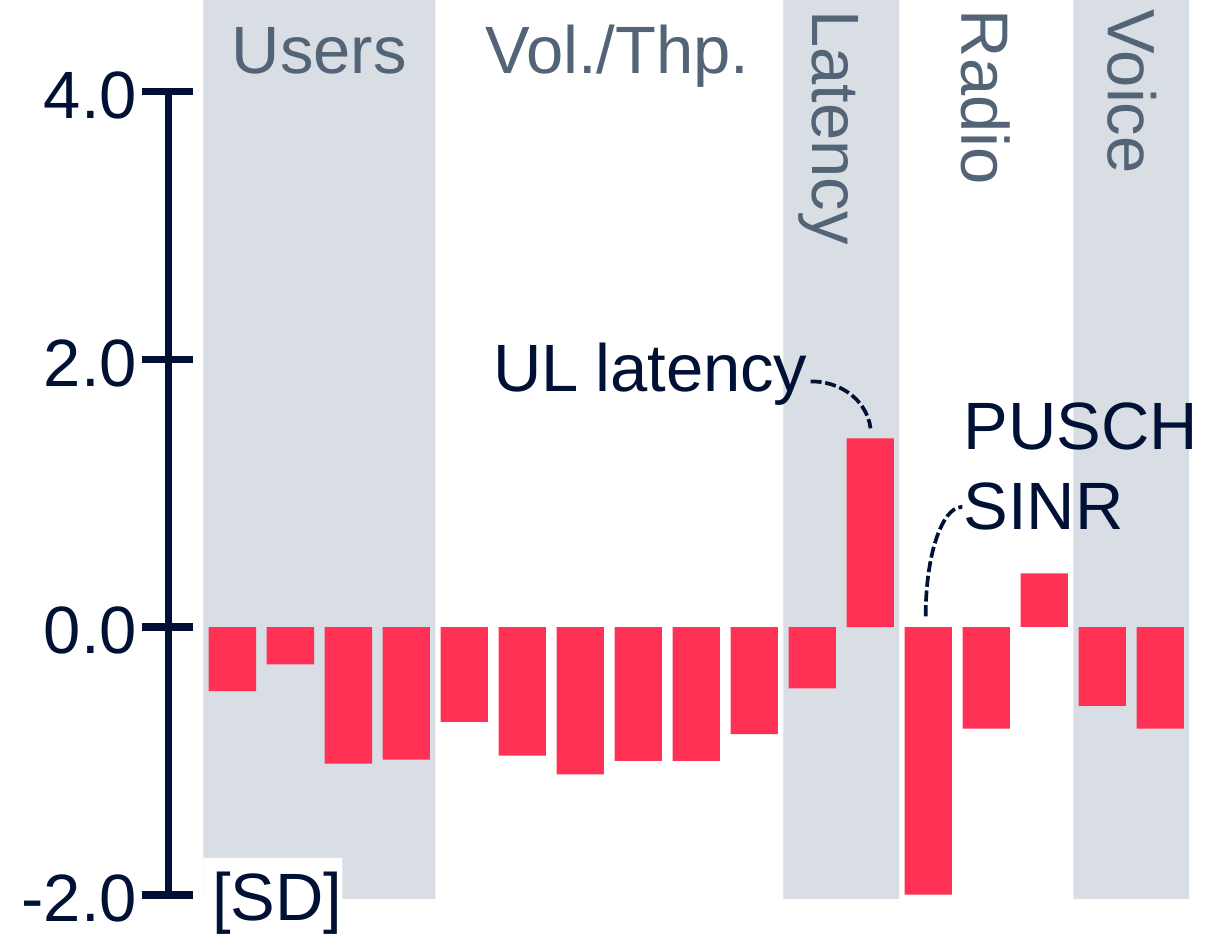
from pptx import Presentation
from pptx.dml.color import RGBColor
from pptx.enum.dml import MSO_LINE
from pptx.enum.shapes import MSO_CONNECTOR, MSO_SHAPE
from pptx.enum.text import MSO_ANCHOR, PP_ALIGN
from pptx.oxml import parse_xml
from pptx.oxml.ns import nsdecls
from pptx.util import Cm, Pt

COLORS = {"band": "D8DEE4", "heading": "526476", "ink": "001135",
          "bar": "FF3154", "white": "FFFFFF"}

# Scales, in centimetres
CM_PER_INCH = 2.54
ZERO_Y = 5.95
UNIT = 1.27
BANDS_LEFT = 1.93
PITCH = 0.55
BAR_WIDTH = 0.45
AXIS_X = 1.6
LABEL_HEIGHT = 0.69

presentation = Presentation()
presentation.slide_width = Cm(4.6 * CM_PER_INCH)
presentation.slide_height = Cm(3.5 * CM_PER_INCH)
slide = presentation.slides.add_slide(presentation.slide_layouts[6])
shapes = slide.shapes


def add_rectangle(left, top, width, height, color):
    shape = shapes.add_shape(MSO_SHAPE.RECTANGLE, Cm(left), Cm(top), Cm(width), Cm(height))
    shape.shadow.inherit = False
    shape.fill.solid()
    shape.fill.fore_color.rgb = RGBColor.from_string(COLORS[color])
    shape.line.fill.background()
    return shape


def add_label(text, left, top, width, height=LABEL_HEIGHT, align=PP_ALIGN.LEFT,
              color="ink", filled=False):
    if filled:
        label = add_rectangle(left, top, width, height, "white")
    else:
        label = shapes.add_textbox(Cm(left), Cm(top), Cm(width), Cm(height))
    frame = label.text_frame
    frame.margin_left = frame.margin_right = frame.margin_top = frame.margin_bottom = 0
    frame.word_wrap = False
    frame.vertical_anchor = MSO_ANCHOR.MIDDLE
    paragraph = frame.paragraphs[0]
    paragraph.text = text
    paragraph.alignment = align
    paragraph.space_after = Pt(3)
    for run in paragraph.runs:
        run.font.name = "Arial"
        run.font.size = Pt(18)
        run.font.color.rgb = RGBColor.from_string(COLORS[color])
    return label


# Shaded bands: first bar, number of bars
for first, count in [(15, 2), (0, 4), (10, 2)]:
    add_rectangle(BANDS_LEFT + first * PITCH, 0, count * PITCH, 8.53, "band")

# Group headings
for text, left, width in [("Users", 1.91, 2.24), ("Vol./Thp.", 4.52, 2.67)]:
    add_label(text, left, 0.1, width, align=PP_ALIGN.CENTER, color="heading")
for text, left, top, width in [("Radio", 8.53, 0.59, 1.68),
                               ("Voice", 9.92, 0.59, 1.68),
                               ("Latency", 6.8, 0.91, 2.31)]:
    add_label(text, left, top, width, color="heading").rotation = 90

# Axis and ticks
ticks = [(value, ZERO_Y - value * UNIT) for value in (4, 2, 0, -2)]
axis_lines = [(AXIS_X, ticks[0][1], AXIS_X, ticks[-1][1])]
axis_lines += [(1.83, y, 1.35, y) for value, y in ticks]
for x1, y1, x2, y2 in axis_lines:
    line = shapes.add_connector(MSO_CONNECTOR.STRAIGHT, Cm(x1), Cm(y1), Cm(x2), Cm(y2))
    line.line.color.rgb = RGBColor.from_string(COLORS["ink"])
    line.line.width = Pt(2)
    line._element.spPr.append(parse_xml(f"<a:effectLst {nsdecls('a')}/>"))

# Axis labels
for value, y in ticks:
    add_label(f"{value:.1f}", 0.23, y - LABEL_HEIGHT / 2, 1.07,
              align=PP_ALIGN.RIGHT, filled=True)

# Bars, in standard deviations
values = [-0.48, -0.28, -1.02, -0.99,
          -0.71, -0.96, -1.1, -1.0, -1.0, -0.8,
          -0.46, 1.41,
          -2.0, -0.76, 0.4,
          -0.59, -0.76]
for index, value in enumerate(values):
    left = BANDS_LEFT + index * PITCH + (PITCH - BAR_WIDTH) / 2
    add_rectangle(left, ZERO_Y - max(value, 0) * UNIT, BAR_WIDTH, abs(value) * UNIT, "bar")

# Callouts with dashed arcs
add_label("UL latency", 4.52, 3.12, 3.14, align=PP_ALIGN.RIGHT)
add_label("PUSCH\vSINR", 9.14, 3.63, 2.67, height=1.52)
for left, top, width, height, start, end in [(7.14, 3.62, 1.12, 0.99, 161.21, 212.93),
                                             (8.78, 4.81, 0.69, 2.06, 107.2, 162.15)]:
    arc = shapes.add_shape(MSO_SHAPE.ARC, Cm(left), Cm(top), Cm(width), Cm(height))
    arc.shadow.inherit = False
    arc.adjustments[0] = start
    arc.adjustments[1] = end
    arc.fill.background()
    arc.line.color.rgb = RGBColor.from_string(COLORS["ink"])
    arc.line.width = Pt(1)
    arc.line.dash_style = MSO_LINE.SQUARE_DOT

# Unit
add_label("[SD]", BANDS_LEFT, 8.14, 1.32, align=PP_ALIGN.RIGHT, filled=True)

presentation.save("out.pptx")
